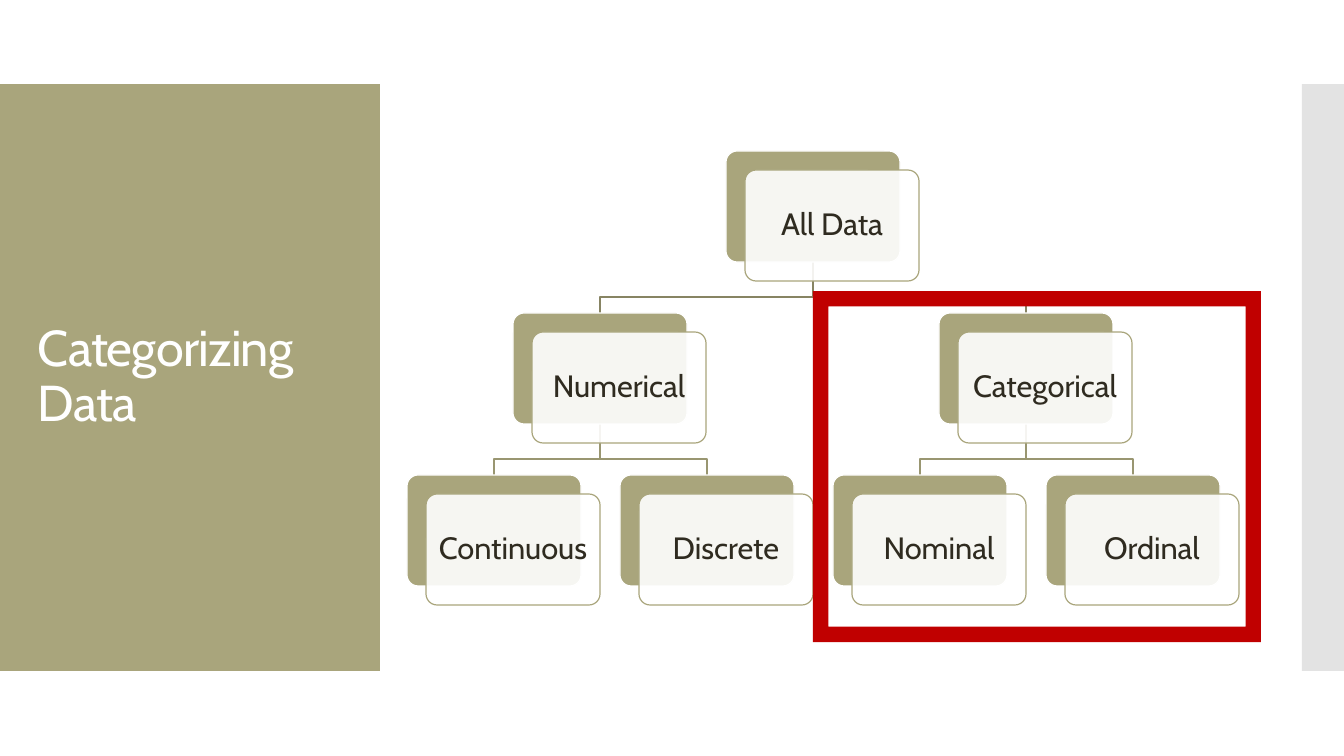
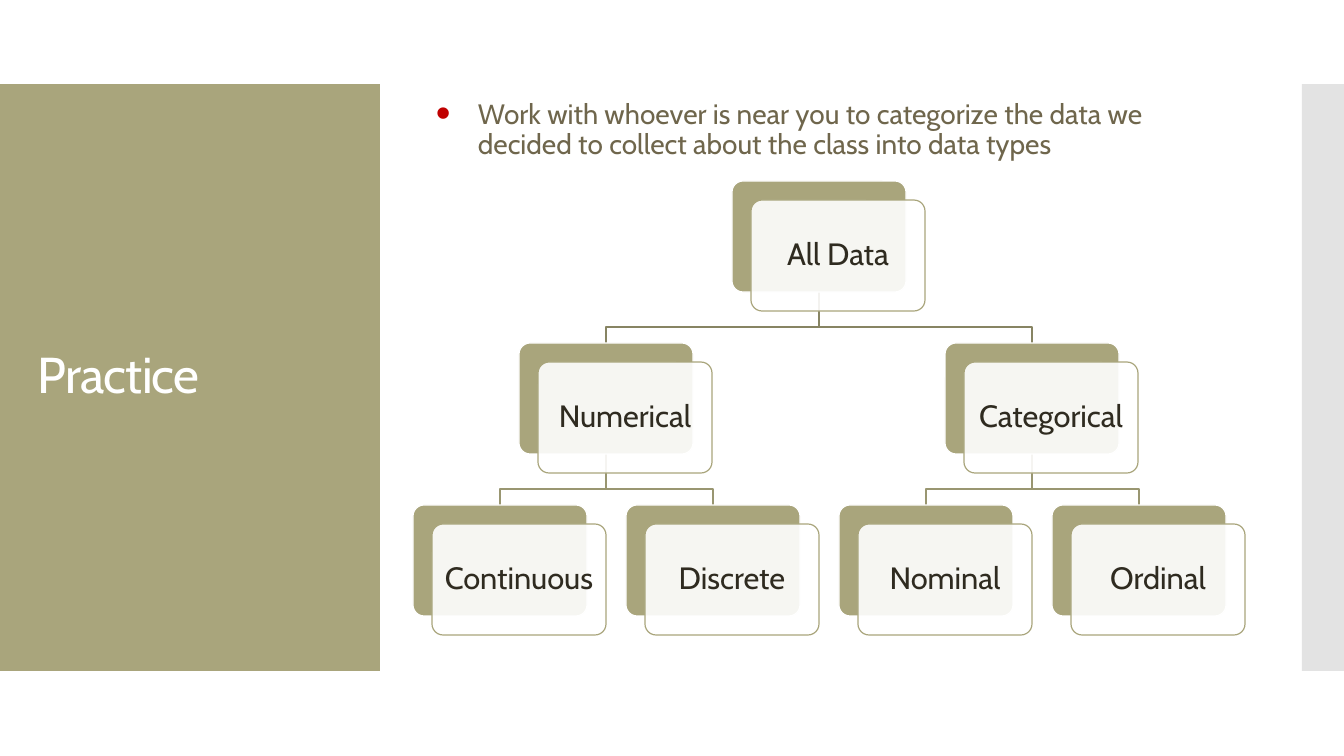
from dataclasses import dataclass
from typing import Any, Optional

from lxml.etree import SubElement
from pptx import Presentation
from pptx.dml.color import RGBColor
from pptx.enum.shapes import MSO_SHAPE
from pptx.enum.text import MSO_ANCHOR, PP_ALIGN
from pptx.oxml.ns import qn
from pptx.util import Emu, Pt

PX = 914400 / 100.8
FONT = "Cabin"
OLIVE, WHITE, GREY, RED = "A9A57C", "FFFFFF", "C8C8C8", "C00000"
INK, BROWN = "2F2B20", "6F664C"
LINK_COLOURS = ("878463", "999671")
LINE_WIDTH = Pt(0.85)

CARD_WIDTH, CARD_HEIGHT = 174, 111
CARD_OFFSET = 19
COLUMN_PITCH, LEVEL_PITCH = 213, 162
ELBOW_RISE = 16


@dataclass(frozen=True)
class Box:
    left: int
    top: int
    width: int
    height: int

    def emu(self) -> tuple[Emu, Emu, Emu, Emu]:
        return px(self.left), px(self.top), px(self.width), px(self.height)


@dataclass(frozen=True)
class Node:
    label: str
    level: int
    column: float
    parent: Optional[str] = None

    def box(self, left: int, top: int) -> Box:
        return Box(left + int(self.column * COLUMN_PITCH),
                   top + self.level * LEVEL_PITCH, CARD_WIDTH, CARD_HEIGHT)


@dataclass(frozen=True)
class TextStyle:
    size: int
    colour: str
    frame: dict[str, Any]
    para: dict[str, Any]
    spacing: int = 0


NODES = (
    Node("All Data", 0, 1.5),
    Node("Numerical", 1, 0.5, "All Data"),
    Node("Continuous", 2, 0, "Numerical"),
    Node("Discrete", 2, 1, "Numerical"),
    Node("Categorical", 1, 2.5, "All Data"),
    Node("Nominal", 2, 2, "Categorical"),
    Node("Ordinal", 2, 3, "Categorical"),
)


def px(length: int) -> Emu:
    return Emu(round(length * PX))


def colour(value: str) -> RGBColor:
    return RGBColor.from_string(value)


TITLE = TextStyle(
    36, WHITE,
    {"word_wrap": True, "vertical_anchor": MSO_ANCHOR.MIDDLE},
    {"line_spacing": 0.9}, -60)
BODY = TextStyle(
    20, BROWN,
    {"word_wrap": True, "vertical_anchor": MSO_ANCHOR.TOP},
    {"line_spacing": 0.9, "space_before": Pt(12)})
LABEL = TextStyle(
    22, INK,
    {"word_wrap": False, "vertical_anchor": MSO_ANCHOR.MIDDLE,
     "margin_left": px(9), "margin_right": px(9),
     "margin_top": px(9), "margin_bottom": px(9)},
    {"line_spacing": 0.9, "alignment": PP_ALIGN.CENTER})


def apply_format(target: Any, values: dict[str, Any]) -> None:
    for name, value in values.items():
        setattr(target, name, value)


def write(shape: Any, text: str, style: TextStyle) -> Any:
    frame = shape.text_frame
    apply_format(frame, style.frame)
    para = frame.paragraphs[0]
    apply_format(para, style.para)
    span = para.add_run()
    span.text = text
    apply_format(span.font, {"name": FONT, "size": Pt(style.size)})
    span.font.color.rgb = colour(style.colour)
    if style.spacing:
        span.font._element.set("spc", str(style.spacing))
    return para


def set_line(shape: Any, value: str) -> None:
    shape.line.color.rgb = colour(value)
    shape.line.width = LINE_WIDTH


def add_panel(page: Any, kind: MSO_SHAPE, box: Box, fill: str, line: str = "",
              opacity: int = 100, adjustment: Optional[float] = None) -> Any:
    shape = page.shapes.add_shape(kind, *box.emu())
    shape.shadow.inherit = False
    shape.fill.solid()
    shape.fill.fore_color.rgb = colour(fill)
    if opacity < 100:
        tint = shape._element.spPr.find(f"{qn('a:solidFill')}/{qn('a:srgbClr')}")
        SubElement(tint, qn("a:alpha"), val=str(opacity * 1000))
    if line:
        set_line(shape, line)
    else:
        shape.line.fill.background()
    if adjustment is not None:
        shape.adjustments[0] = adjustment
    return shape


def add_link(page: Any, parent: Box, child: Box, value: str) -> None:
    start = parent.left + CARD_WIDTH // 2
    end = child.left + CARD_WIDTH // 2
    bend = child.top - ELBOW_RISE
    builder = page.shapes.build_freeform(start, parent.top + CARD_HEIGHT, scale=PX)
    builder.add_line_segments([(start, bend), (end, bend), (end, child.top)], close=False)
    link = builder.convert_to_shape()
    link.shadow.inherit = False
    link.fill.background()
    set_line(link, value)


def add_card(page: Any, box: Box, label: str) -> None:
    front = Box(box.left + CARD_OFFSET, box.top + CARD_OFFSET, box.width, box.height)
    add_panel(page, MSO_SHAPE.ROUNDED_RECTANGLE, box, OLIVE, WHITE, adjustment=0.1)
    card = add_panel(page, MSO_SHAPE.ROUNDED_RECTANGLE, front, WHITE, OLIVE, 90, 0.1)
    write(card, label, LABEL)


def add_tree(page: Any, left: int, top: int) -> None:
    boxes = {node.label: node.box(left, top) for node in NODES}
    for node in reversed(NODES):
        if node.parent:
            add_link(page, boxes[node.parent], boxes[node.label],
                     LINK_COLOURS[node.level - 1])
    for label, box in boxes.items():
        add_card(page, box, label)


def add_bullet(page: Any, box: Box, text: str) -> None:
    para = write(page.shapes.add_textbox(*box.emu()), text, BODY)
    properties = para._p.get_or_add_pPr()
    indent = px(42)
    properties.set("marL", str(indent))
    properties.set("indent", str(-indent))
    SubElement(SubElement(properties, qn("a:buClr")), qn("a:srgbClr"), val=RED)
    SubElement(properties, qn("a:buSzPct"), val="150000")
    SubElement(properties, qn("a:buFont"), typeface="Arial")
    SubElement(properties, qn("a:buChar"), char="•")


def add_page(deck: Any, title: str) -> Any:
    page = deck.slides.add_slide(deck.slide_layouts[6])
    add_panel(page, MSO_SHAPE.RECTANGLE, Box(0, 84, 380, 587), OLIVE)
    add_panel(page, MSO_SHAPE.RECTANGLE, Box(1302, 84, 42, 587), GREY, opacity=50)
    write(page.shapes.add_textbox(*Box(28, 124, 325, 507).emu()), title, TITLE)
    return page


def main() -> None:
    deck = Presentation()
    apply_format(deck, {"slide_width": px(1344), "slide_height": px(756)})

    page = add_page(deck, "Categorizing Data")
    add_tree(page, 407, 151)
    add_panel(page, MSO_SHAPE.FRAME, Box(813, 291, 448, 351), RED, adjustment=0.044)

    page = add_page(deck, "Practice")
    add_bullet(page, Box(426, 95, 806, 564),
               "Work with whoever is near you to categorize the data we decided "
               "to collect about the class into data types")
    add_tree(page, 413, 181)

    deck.save("out.pptx")


if __name__ == "__main__":
    main()
